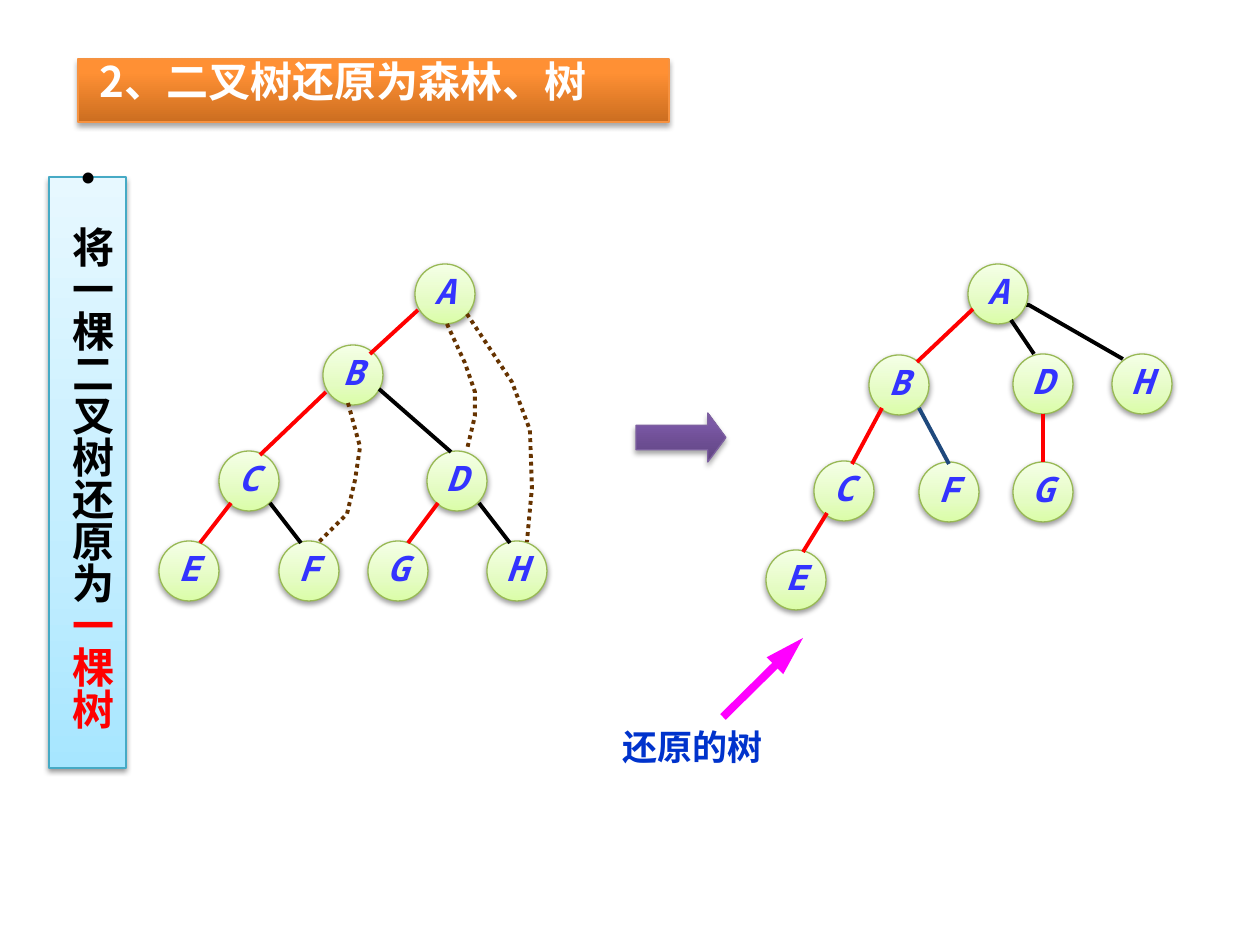
from lxml import etree
from pptx import Presentation
from pptx.dml.color import RGBColor
from pptx.enum.dml import MSO_LINE
from pptx.enum.shapes import MSO_CONNECTOR, MSO_SHAPE
from pptx.enum.text import MSO_ANCHOR, PP_ALIGN
from pptx.oxml.ns import qn
from pptx.util import Pt

OVAL, RECT, ARROW = MSO_SHAPE.OVAL, MSO_SHAPE.RECTANGLE, MSO_SHAPE.RIGHT_ARROW
STRAIGHT = MSO_CONNECTOR.STRAIGHT
DOTS = MSO_LINE.ROUND_DOT
CENTER, JUSTIFY = PP_ALIGN.CENTER, PP_ALIGN.JUSTIFY
TOP, MIDDLE = MSO_ANCHOR.TOP, MSO_ANCHOR.MIDDLE
SCALE = 914400 / 126
CJK, MONO = "Noto Sans CJK SC", "Noto Sans Mono"
RED, BLACK, NAVY, BROWN, PINK = "FF0000", "000000", "1F497D", "663300", "FF00FF"
SIZE = 60
INDENT = 46

# Looks: gradient stops from the bottom up, line, shadow (opacity %, distance pt)
GREEN = ([(0, "DAFDA7"), (35, "E4FCC2"), (100, "F5FFE7")], "98B955", (38, 1.6))
BLUE = ([(0, "A7E6FF"), (35, "C1EDFF"), (100, "E7F8FF")], "46AAC5", (38, 1.6))
PURPLE = ([(0, "5F4480"), (80, "7B58A6"), (100, "7C57A8")], "7D60A0", (35, 1.8))
ORANGE = ([(0, "CC6E20"), (80, "FF9034"), (100, "FF9136")], "F69240", (35, 1.8))

# Content: nodes by left and top, edges by both ends
BINARY = {"A": (415, 264), "B": (323, 345), "C": (219, 451), "D": (427, 451),
          "E": (159, 541), "F": (279, 541), "G": (368, 541), "H": (487, 541)}
TREE = {"A": (968, 264), "B": (869, 355), "D": (1013, 354), "H": (1112, 354),
        "C": (814, 461), "F": (919, 462), "G": (1013, 462), "E": (766, 550)}
EDGES = [
    (RED, (418, 310), (370, 354)), (RED, (326, 392), (260, 455)),
    (RED, (231, 503), (200, 543)), (RED, (438, 503), (408, 543)),
    (BLACK, (379, 389), (451, 452)), (BLACK, (270, 503), (301, 543)),
    (BLACK, (479, 503), (510, 543)),
    (RED, (973, 309), (917, 362)), (RED, (882, 408), (852, 464)),
    (RED, (827, 513), (803, 552)),
    (BLACK, (1011, 320), (1034, 354)), (NAVY, (919, 408), (949, 464)),
]
STEM = (RED, (1043, 414), (1043, 462))
LINKS = [
    [(447, 324), (465, 363), (475, 392), (475, 416), (467, 450)],
    [(348, 403), (360, 447), (355, 480), (347, 514), (319, 542)],
    [(467, 314), (512, 382), (530, 430), (532, 488), (527, 542)],
]
BEND = [(1023, 305), (1029, 305), (1123, 359)]


def px(*nums):
    return [round(n * SCALE) for n in nums]


def rgb(code):
    return RGBColor.from_string(code)


def sub(parent, tag, **attrs):
    node = etree.SubElement(parent, qn(tag))
    for key, val in attrs.items():
        node.set(key, str(val))
    return node


def block(kind, box, look):
    stops, edge, (alpha, dist) = look
    shape = slide.shapes.add_shape(kind, *px(*box))
    shape.fill.gradient()
    shape.fill.gradient_angle = 90
    shape.line.color.rgb = rgb(edge)
    shape.line.width = Pt(0.75)
    shape.shadow.inherit = False
    props = shape._element.spPr
    items = props.find(qn("a:gradFill")).find(qn("a:gsLst"))
    for old in list(items):
        items.remove(old)
    for pos, code in stops:
        sub(sub(items, "a:gs", pos=pos * 1000), "a:srgbClr", val=code)
    shade = sub(props.find(qn("a:effectLst")), "a:outerShdw", blurRad=Pt(3.1),
                dist=Pt(dist), dir=5400000, rotWithShape=0)
    sub(sub(shade, "a:srgbClr", val=BLACK), "a:alpha", val=alpha * 1000)
    return shape


def write(shape, runs, size, color, font=CJK, align=CENTER, anchor=TOP,
          wrap=True, slant=False, bullet=None):
    frame = shape.text_frame
    frame.word_wrap = wrap
    frame.vertical_anchor = anchor
    para = frame.paragraphs[0]
    para.alignment = align
    para.line_spacing = 0.8
    if bullet:
        props = para._p.get_or_add_pPr()
        hang, = px(INDENT)
        props.set("marL", str(hang))
        props.set("indent", str(-hang))
        sub(props, "a:buChar", char=bullet)
    for text, tint in runs:
        run = para.add_run()
        run.text = text
        if tint:
            run.font.color.rgb = rgb(tint)
    style = para.font
    style.size, style.bold, style.name = Pt(size), True, font
    if slant:
        style.italic = True
    style.color.rgb = rgb(color)
    sub(para._p.pPr.find(qn("a:defRPr")), "a:ea", typeface=font)


def line(color, start, end, width=2.25):
    conn = slide.shapes.add_connector(STRAIGHT, *px(*start, *end))
    conn.line.color.rgb = rgb(color)
    conn.line.width = Pt(width)
    sub(conn._element.spPr, "a:effectLst")
    return conn


def bent(color, points, dash=None):
    first, *rest = [px(*point) for point in points]
    build = slide.shapes.build_freeform(*first)
    build.add_line_segments(rest, close=False)
    shape = build.convert_to_shape()
    shape.fill.background()
    shape.line.color.rgb = rgb(color)
    shape.line.width = Pt(2.25)
    if dash:
        shape.line.dash_style = dash
    shape.shadow.inherit = False


deck = Presentation()
deck.slide_width, deck.slide_height = px(1260, 945)
slide = deck.slides.add_slide(deck.slide_layouts[6])

# Both trees
bent(BLACK, BEND)
for nodes in (BINARY, TREE):
    for name, (left, top) in nodes.items():
        node = block(OVAL, (left, top, SIZE, SIZE), GREEN)
        write(node, [(name, None)], 20, "3333FF", MONO, anchor=MIDDLE,
              wrap=False, slant=True)
for edge in EDGES + [STEM]:
    line(*edge)
for link in LINKS:
    bent(BROWN, link, DOTS)

# Arrow between the trees
arrow = block(ARROW, (636, 413, 90, 49), PURPLE)
arrow.adjustments[0], arrow.adjustments[1] = 0.5, 0.37

# Label with its pointer
label = slide.shapes.add_textbox(*px(524, 727, 338, 55))
write(label, [("还原的树", None)], 20, "0033CC")
point = line(PINK, (723, 717), (803, 638), 4.5)
sub(point.line._get_or_add_ln(), "a:tailEnd", type="triangle", w="med", len="lg")

# Vertical note, kept to one column by narrow margins
note = block(RECT, (49, 177, 77, 591), BLUE)
frame = note.text_frame
frame._txBody.bodyPr.set("vert", "eaVert")
frame.margin_top = frame.margin_bottom = Pt(2)
write(note, [("将一棵二叉树还原为", None), ("一棵树", RED)], 24, BLACK,
      anchor=MIDDLE, bullet="•")

# Title
title = block(RECT, (78, 59, 591, 63), ORANGE)
write(title, [(" 2、二叉树还原为森林、树", None)], 24, "FFFFFF", align=JUSTIFY)

deck.save("out.pptx")
